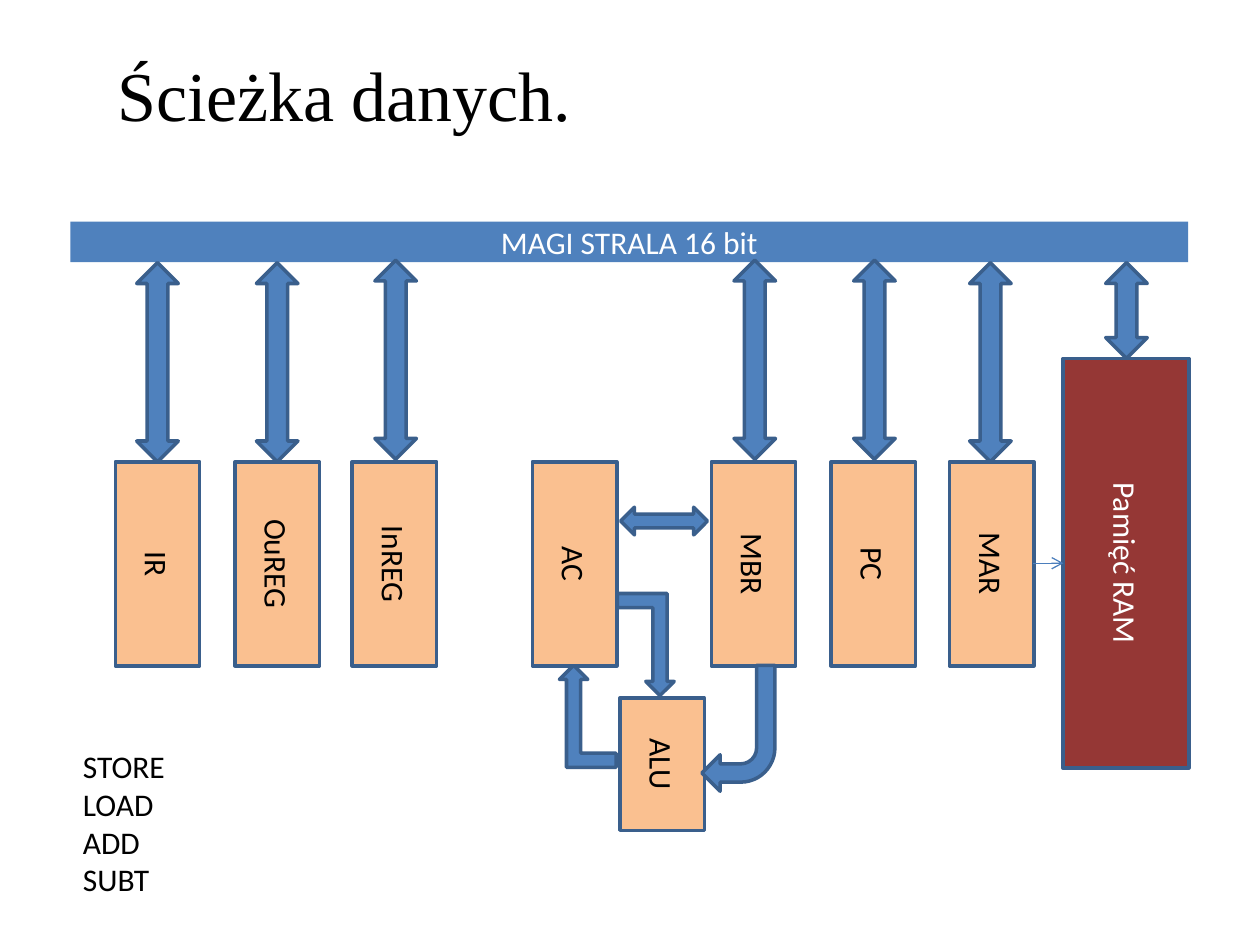
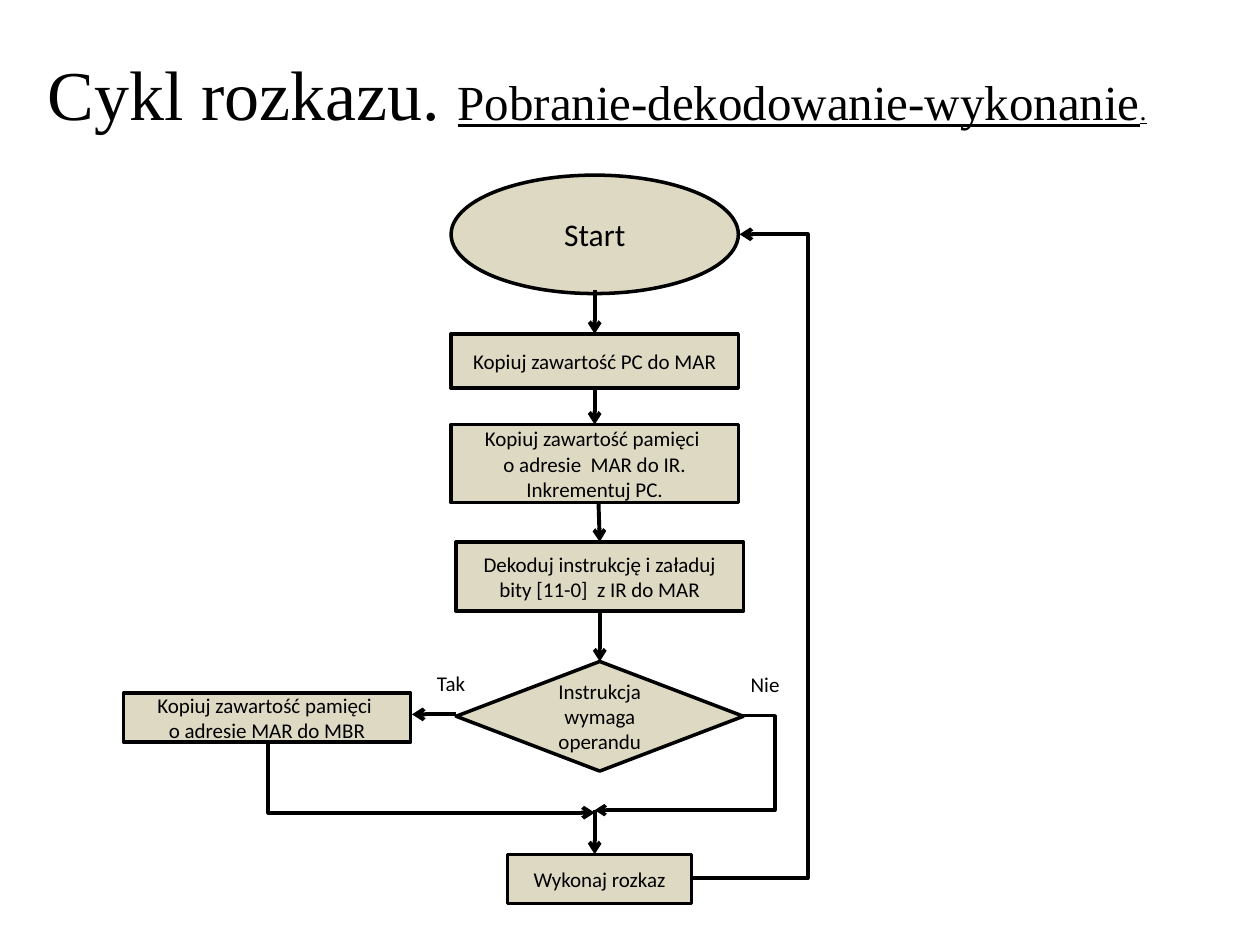
from lxml.etree import SubElement
from pptx import Presentation
from pptx.dml.color import RGBColor
from pptx.enum.shapes import MSO_CONNECTOR, MSO_SHAPE
from pptx.enum.text import MSO_ANCHOR, MSO_AUTO_SIZE, PP_ALIGN
from pptx.oxml.ns import qn
from pptx.util import Pt

EMU_PER_PX = 9144  # 100 px to the inch
TITLE_ONLY = 5
TOP, LEFT, BOTTOM, RIGHT = range(4)

BLACK = RGBColor(0x00, 0x00, 0x00)
WHITE = RGBColor(0xFF, 0xFF, 0xFF)
BLUE = RGBColor(0x4F, 0x81, 0xBD)
DARK_BLUE = RGBColor(0x3A, 0x5F, 0x8C)
LINK_BLUE = RGBColor(0x4B, 0x7E, 0xBC)
ORANGE = RGBColor(0xFA, 0xC0, 0x90)
DARK_RED = RGBColor(0x95, 0x37, 0x35)
BEIGE = RGBColor(0xDD, 0xD9, 0xC3)


def px(*lengths):
    return [length * EMU_PER_PX for length in lengths]


def write(paragraph, text, size=18, color=BLACK, font="Calibri", underline=None):
    """Add text to the paragraph; a vertical tab is a line break."""
    for index, line in enumerate(text.split("\v")):
        if index:
            paragraph.add_line_break()
        run = paragraph.add_run()
        run.text = line
        run.font.size = Pt(size)
        run.font.name = font
        run.font.color.rgb = color
        run.font.underline = underline


class Diagram:
    def __init__(self, presentation, fill, line):
        self.slide = presentation.slides.add_slide(
            presentation.slide_layouts[TITLE_ONLY])
        self.fill = fill
        self.line = line

    def title(self, box, *parts):
        """Each part is a text and a dictionary with its format."""
        shape = self.slide.shapes.title
        shape.left, shape.top, shape.width, shape.height = px(*box)
        frame = shape.text_frame
        frame.auto_size = MSO_AUTO_SIZE.NONE
        frame.vertical_anchor = MSO_ANCHOR.TOP
        paragraph = frame.paragraphs[0]
        paragraph.alignment = PP_ALIGN.LEFT
        for text, text_format in parts:
            write(paragraph, text, font="Times New Roman", **text_format)

    def shape(self, kind, box, text="", fill=None, outlined=True, rotation=0,
              mirrored=False, **text_format):
        shape = self.slide.shapes.add_shape(kind, *px(*box))
        shape.shadow.inherit = False
        shape.rotation = rotation
        shape.fill.solid()
        shape.fill.fore_color.rgb = fill or self.fill
        if outlined:
            shape.line.color.rgb = self.line
            shape.line.width = Pt(2)
        else:
            shape.line.fill.background()
        if mirrored:
            shape.element.spPr.find(qn("a:xfrm")).set("flipH", "1")
        if text:
            shape.text_frame.vertical_anchor = MSO_ANCHOR.MIDDLE
            paragraph = shape.text_frame.paragraphs[0]
            paragraph.alignment = PP_ALIGN.CENTER
            write(paragraph, text, **text_format)
        return shape

    def upright(self, kind, center_x, center_y, length, thickness, text="", **style):
        """A shape turned a quarter clockwise, its text running down."""
        box = (center_x - length // 2, center_y - thickness // 2, length, thickness)
        return self.shape(kind, box, text, rotation=90, **style)

    def bus_arrow(self, center_x, top, length):
        self.upright(MSO_SHAPE.LEFT_RIGHT_ARROW, center_x, top + length // 2,
                     length, 33, fill=BLUE)

    def label(self, box, lines, **text_format):
        frame = self.slide.shapes.add_textbox(*px(*box)).text_frame
        frame.word_wrap = False
        frame.auto_size = MSO_AUTO_SIZE.SHAPE_TO_FIT_TEXT
        for index, line in enumerate(lines):
            paragraph = frame.add_paragraph() if index else frame.paragraphs[0]
            write(paragraph, line, **text_format)

    def arrow(self, begin, end, kind=MSO_CONNECTOR.STRAIGHT, color=None, width=2.25,
              begin_side=None, end_side=None):
        """A side is a shape and the number of its connection site."""
        ends = px(*begin, *end)
        connector = self.slide.shapes.add_connector(kind, *ends)
        if begin_side:
            connector.begin_connect(*begin_side)
        if end_side:
            connector.end_connect(*end_side)
        # Joining ignores rotation, so the ends are placed again.
        (connector.begin_x, connector.begin_y,
         connector.end_x, connector.end_y) = ends
        connector.line.color.rgb = color or self.line
        connector.line.width = Pt(width)
        properties = connector.element.spPr
        SubElement(properties.find(qn("a:ln")), qn("a:tailEnd"), type="arrow")
        SubElement(properties, qn("a:effectLst"))
        return connector

    def detour(self, begin, end, bend, width=2.25):
        """An elbow whose upright part lies at x = bend."""
        connector = self.arrow(begin, end, MSO_CONNECTOR.ELBOW, width=width)
        share = (bend - begin[0]) / (end[0] - begin[0])
        geometry = connector.element.spPr.find(qn("a:prstGeom"))
        guides = geometry.find(qn("a:avLst"))
        if guides is None:
            guides = SubElement(geometry, qn("a:avLst"))
        SubElement(guides, qn("a:gd"), name="adj1", fmla=f"val {round(share * 100000)}")

    def down_then_right(self, begin, end):
        across, down = end[0] - begin[0], end[1] - begin[1]
        right = (begin[0] + end[0] + down) // 2
        top = (begin[1] + end[1] - across) // 2
        connector = self.arrow((right, top), (right - down, top + across),
                               MSO_CONNECTOR.ELBOW)
        properties = connector.element.spPr
        properties.find(qn("a:xfrm")).set("rot", str(270 * 60000))
        properties.find(qn("a:prstGeom")).set("prst", "bentConnector2")


def add_data_path(presentation):
    diagram = Diagram(presentation, ORANGE, DARK_BLUE)
    diagram.title((83, 36, 803, 77), ("Ścieżka danych.", {"size": 40}))

    register_y = 447
    registers = {}
    for name, center_x in (("MAR", 787), ("PC", 693), ("MBR", 598), ("AC", 456),
                           ("InREG", 313), ("OuREG", 220), ("IR", 125)):
        registers[name] = diagram.upright(
            MSO_SHAPE.RECTANGLE, center_x, register_y, 162, 67, name)
    memory = diagram.upright(MSO_SHAPE.RECTANGLE, 893, register_y, 325, 100,
                             "Pamięć RAM", fill=DARK_RED, color=WHITE)
    diagram.shape(MSO_SHAPE.RECTANGLE, (56, 176, 887, 32), "MAGI STRALA 16 bit",
                  fill=BLUE, outlined=False, color=WHITE)
    # Turned a quarter, the top side faces right and the bottom side left.
    diagram.arrow((820, register_y), (844, register_y), color=LINK_BLUE, width=0.75,
                  begin_side=(registers["MAR"], TOP), end_side=(memory, BOTTOM))
    diagram.upright(MSO_SHAPE.RECTANGLE, 525, 606, 105, 67, "ALU")

    for center_x, top in ((786, 208), (694, 206), (599, 206),
                          (314, 206), (220, 208), (125, 208)):
        diagram.bus_arrow(center_x, top, 158)
    diagram.bus_arrow(894, 208, 76)

    diagram.upright(MSO_SHAPE.UP_DOWN_ARROW, 527, 413, 22, 69, fill=BLUE)
    mbr_to_alu = diagram.shape(MSO_SHAPE.BENT_ARROW, (557, 528, 58, 100),
                               fill=BLUE, rotation=180)
    mbr_to_alu.adjustments[3] = 0.47
    for box, rotation in (((444, 528, 45, 81), 0), ((490, 471, 45, 81), 180)):
        diagram.shape(MSO_SHAPE.BENT_UP_ARROW, box, fill=BLUE, rotation=rotation,
                      mirrored=True)
    diagram.label((56, 588, 86, 131), ("STORE", "LOAD", "ADD", "SUBT"))


def add_instruction_cycle(presentation):
    diagram = Diagram(presentation, BEIGE, BLACK)
    diagram.title((28, 35, 945, 77),
                  ("Cykl rozkazu. ", {"size": 40}),
                  ("Pobranie-dekodowanie-wykonanie", {"size": 28, "underline": True}),
                  (".", {"size": 16, "underline": True}))

    diagram.shape(MSO_SHAPE.OVAL, (358, 139, 228, 94), "Start")
    copy_address, fetch, decode, load_operand, execute = [
        diagram.shape(MSO_SHAPE.RECTANGLE, box, text, size=12) for box, text in (
            ((358, 265, 228, 43), "Kopiuj zawartość PC do MAR"),
            ((358, 337, 228, 62),
             "Kopiuj zawartość pamięci \vo adresie  MAR do IR. Inkrementuj PC."),
            ((362, 430, 228, 55),
             "Dekoduj instrukcję i załaduj bity [11-0]  z IR do MAR"),
            ((98, 550, 228, 39), "Kopiuj zawartość pamięci \vo adresie MAR do MBR"),
            ((403, 678, 146, 39), "Wykonaj rozkaz"))]
    needs_operand = diagram.shape(MSO_SHAPE.FLOWCHART_DECISION, (362, 525, 228, 87),
                                  "Instrukcja wymaga operandu", size=12)

    diagram.detour((590, 568), (472, 643), bend=615, width=2)
    diagram.down_then_right((213, 590), (472, 645))
    diagram.arrow((472, 643), (472, 678), end_side=(execute, TOP))
    diagram.arrow((472, 230), (472, 265), end_side=(copy_address, TOP))
    for upper, lower, begin, end in (
            (decode, needs_operand, (476, 485), (476, 525)),
            (copy_address, fetch, (472, 308), (472, 337)),
            (fetch, decode, (475, 399), (476, 430))):
        diagram.arrow(begin, end, begin_side=(upper, BOTTOM), end_side=(lower, TOP))
    diagram.arrow((362, 567), (327, 567), begin_side=(needs_operand, LEFT),
                  end_side=(load_operand, RIGHT))
    diagram.detour((549, 697), (587, 186), bend=641)

    diagram.label((337, 527, 43, 30), ("Tak",), size=12)
    diagram.label((586, 528, 43, 30), ("Nie",), size=12)


def main():
    presentation = Presentation()
    presentation.slide_width, presentation.slide_height = px(1000, 750)
    add_data_path(presentation)
    add_instruction_cycle(presentation)
    presentation.save("out.pptx")


if __name__ == "__main__":
    main()
